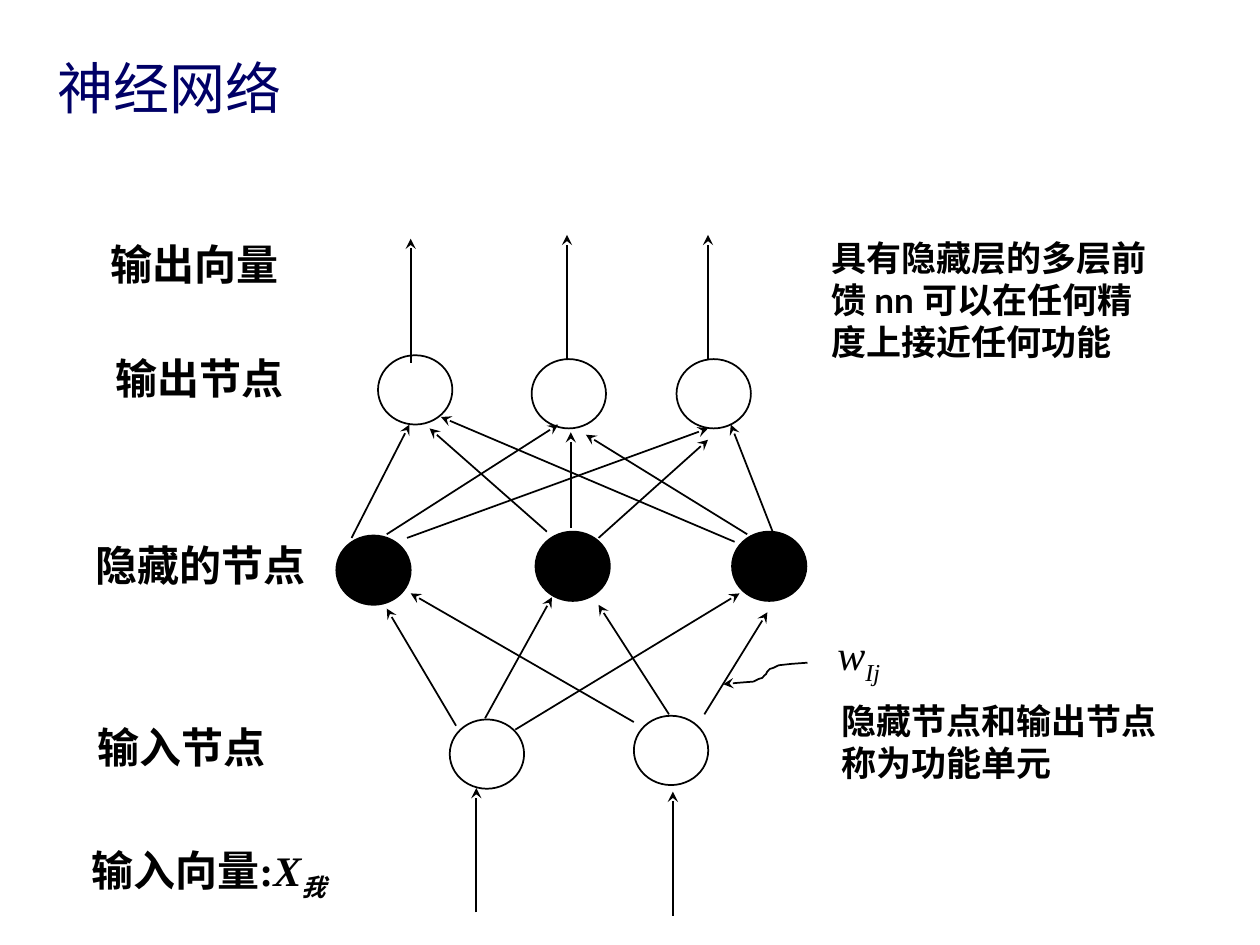
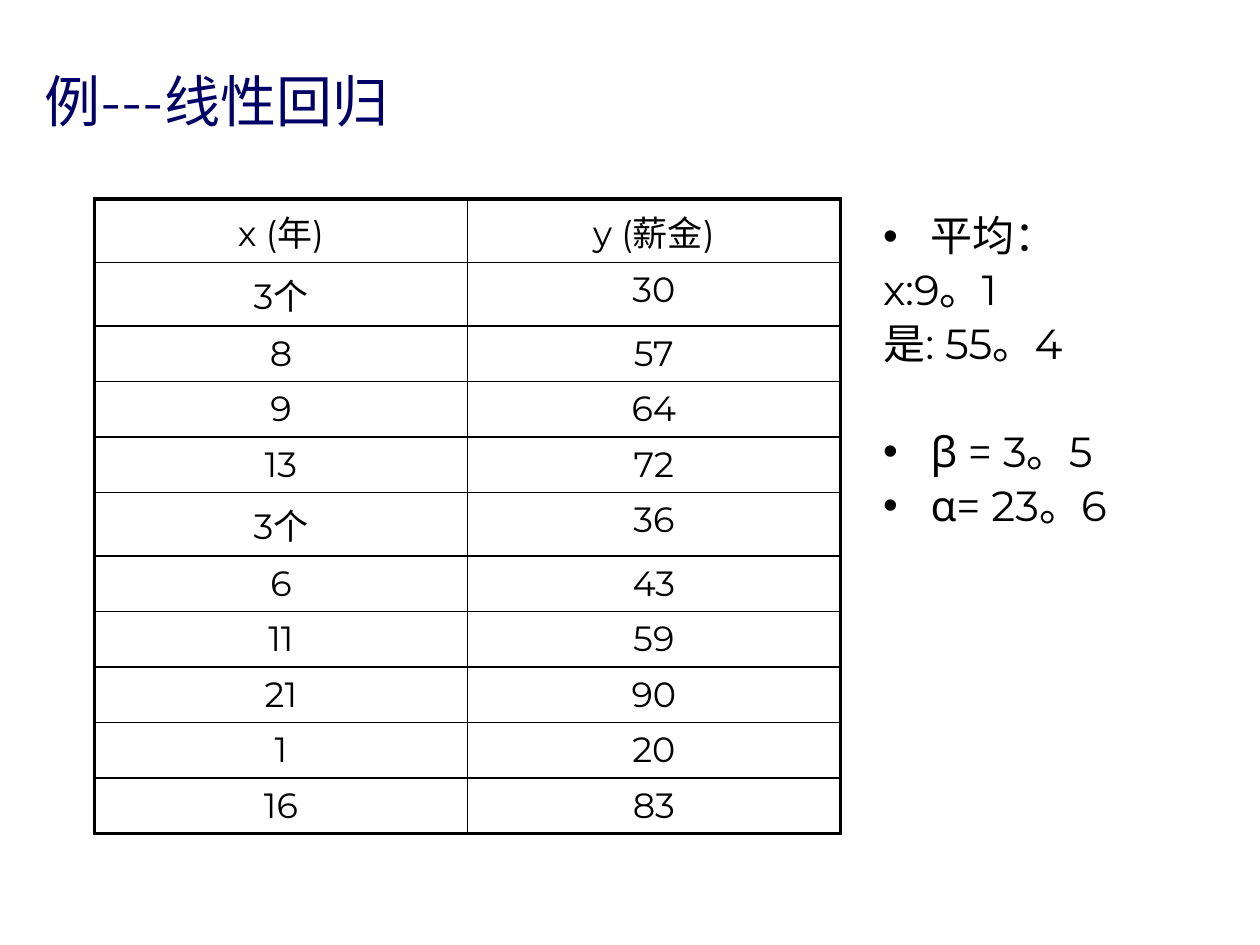
from lxml.etree import SubElement
from pptx import Presentation
from pptx.dml.color import RGBColor
from pptx.enum.shapes import MSO_CONNECTOR, MSO_SHAPE
from pptx.enum.text import MSO_ANCHOR, PP_ALIGN
from pptx.oxml import parse_xml
from pptx.oxml.ns import nsdecls, qn
from pptx.util import Pt

NAVY = RGBColor(0x00, 0x00, 0x66)
BLACK = RGBColor(0x00, 0x00, 0x00)
SERIF, SANS, CALLOUT = "Times New Roman", "Montserrat", "Lato"
TITLE_HEIGHT = 41.8


def write(paragraph, text, size=24, font=SERIF, color=BLACK, bold=False,
          italic=False, subscript=False, align=PP_ALIGN.LEFT):
    paragraph.alignment = align
    run = paragraph.add_run()
    run.text = text
    run.font.size, run.font.name = Pt(size), font
    run.font.bold, run.font.italic = bold, italic
    run.font.color.rgb = color
    if subscript:
        run.font.element.set("baseline", "-25000") if hasattr(run.font, "element") \
            else run._r.get_or_add_rPr().set("baseline", "-25000")


def outline(shape, arrow=False):
    shape.line.color.rgb = BLACK
    shape.line.width = Pt(1)
    properties = shape.element.spPr
    if arrow:
        SubElement(properties.find(qn("a:ln")), qn("a:tailEnd"), type="stealth")
    SubElement(properties, qn("a:effectLst"))


presentation = Presentation()
presentation.slide_width, presentation.slide_height = Pt(720), Pt(540)
network_slide = presentation.slides.add_slide(presentation.slide_layouts[5])
regression_slide = presentation.slides.add_slide(presentation.slide_layouts[1])

# Titles
for slide, text, left, top, width in [
    (network_slide, "神经网络", 25.9, 31, 455.8),
    (regression_slide, "例---线性回归", 18, 38.2, 678.2),
]:
    title = slide.shapes.title
    title.left, title.top = Pt(left), Pt(top)
    title.width, title.height = Pt(width), Pt(TITLE_HEIGHT)
    title.text_frame.vertical_anchor = MSO_ANCHOR.BOTTOM
    write(title.text_frame.paragraphs[0], text, size=32, font=SANS, color=NAVY)

# Network nodes, layer by layer
output_nodes = [(216, 203), (303.8, 205.2), (386.6, 205.2)]
hidden_nodes = [(192.2, 306), (306, 303.8), (418.3, 303.8)]
input_nodes = [(257, 411.1), (362.2, 409)]
for layer, filled in [(output_nodes, False), (hidden_nodes, True), (input_nodes, False)]:
    for left, top in layer:
        node = network_slide.shapes.add_shape(
            MSO_SHAPE.OVAL, Pt(left), Pt(top), Pt(42.5), Pt(39.6))
        if filled:
            node.fill.solid()
            node.fill.fore_color.rgb = BLACK
        else:
            node.fill.background()
        outline(node)

# Weighted edges between the layers, then vertical signals in and out
input_to_hidden = [
    (260.6, 414.7, 221, 347.8), (277.2, 410.4, 315.4, 341.3),
    (294.5, 416.9, 422.6, 339.1), (362.2, 412.6, 234.7, 339.1),
    (382.3, 408.2, 342, 345.6), (402.5, 408.2, 438.5, 349.9),
]
hidden_to_output = [
    (200.9, 307.4, 234, 242.6), (221, 305.3, 319, 242.6),
    (232.6, 307.4, 404.6, 244.8), (419.8, 309.6, 252, 238.3),
    (442.1, 305.3, 417.6, 242.6), (427, 305.3, 334.8, 248.4),
    (312.5, 303.8, 245.5, 244.8), (326.2, 301.7, 326.2, 247),
    (342, 307.4, 404.6, 251.3),
]
signal_starts = [(272.2, 521.3), (384.5, 523.4),
                 (234.7, 207.4), (324, 205.2), (404.6, 205.2)]
signals = [(x, y, x, y - 71) for x, y in signal_starts]
for edge in input_to_hidden + hidden_to_output + signals:
    connector = network_slide.shapes.add_connector(
        MSO_CONNECTOR.STRAIGHT, *[Pt(value) for value in edge])
    outline(connector, arrow=True)

# Layer labels
plain = {"bold": True}
for left, top, width, runs in [
    (36.7, 198, 154.1, [("输出节点", plain)]),
    (35.3, 409, 136.8, [("输入节点", plain)]),
    (36.7, 304.6, 155.5, [("隐藏的节点", plain)]),
    (31.7, 132.5, 159.1, [("输出向量", plain)]),
    (33.1, 478.8, 172.1, [
        ("输入向量:", plain),
        ("X", {"bold": True, "italic": True}),
        ("我", {"bold": True, "italic": True, "subscript": True})]),
    (470.9, 355.7, 39.6, [
        ("w", {"italic": True}), ("Ij", {"italic": True, "subscript": True})]),
]:
    label = network_slide.shapes.add_textbox(Pt(left), Pt(top), Pt(width), Pt(36))
    label.text_frame.word_wrap = False
    for text, style in runs:
        write(label.text_frame.paragraphs[0], text, align=PP_ALIGN.CENTER, **style)

# Curved pointer from the weight to its edge
pointer_points = [
    (461.5, 378.7), (452.2, 379.4), (445, 380.2), (442.1, 381.6), (439.9, 382.3),
    (438.5, 383.8), (437.8, 385.2), (437, 385.9), (435.6, 387.4), (433.4, 388.1),
    (430.6, 389.5), (421.9, 390.2), (413.3, 391),
]
start, *bends = [(Pt(x), Pt(y)) for x, y in pointer_points]
builder = network_slide.shapes.build_freeform(*start)
builder.add_line_segments(bends, close=False)
pointer = builder.convert_to_shape()
pointer.fill.background()
outline(pointer, arrow=True)

# Explanations on the right
for text, left, top, height in [
    ("具有隐藏层的多层前馈 nn 可以在任何精度上接近任何功能", 468, 131.8, 151.2),
    ("隐藏节点和输出节点称为功能单元", 473.8, 396, 103),
]:
    explanation = network_slide.shapes.add_textbox(
        Pt(left), Pt(top), Pt(199.4), Pt(height))
    explanation.text_frame.word_wrap = True
    write(explanation.text_frame.paragraphs[0], text, size=20, font=CALLOUT, bold=True)

# Regression results
results = regression_slide.placeholders[1]
results.left, results.top, results.width, results.height = (
    Pt(497.5), Pt(119.5), Pt(185.8), Pt(372.2))
frame = results.text_frame
for index, (text, bulleted, space_before) in enumerate([
    ("平均：", True, 4.8), ("x:9。1", False, 4.8), ("是: 55。4", False, 4.8),
    ("β = 3。5", True, 36), ("α= 23。6", True, 4.8),
]):
    paragraph = frame.add_paragraph() if index else frame.paragraphs[0]
    write(paragraph, text, font=SANS)
    paragraph.line_spacing = 0.9
    paragraph.space_before = Pt(space_before)
    properties = paragraph._p.get_or_add_pPr()
    indent = Pt(27) if bulleted else 0
    properties.set("marL", str(indent))
    properties.set("indent", str(-indent))
    if bulleted:
        SubElement(properties, qn("a:buChar"), char="•")
    else:
        SubElement(properties, qn("a:buNone"))

# Years and salary table
rows = [("x (年)", "y (薪金)"), ("3个", "30"), ("8", "57"), ("9", "64"),
        ("13", "72"), ("3个", "36"), ("6", "43"), ("11", "59"),
        ("21", "90"), ("1", "20"), ("16", "83")]
table = regression_slide.shapes.add_table(
    len(rows), 2, Pt(54), Pt(113.8), Pt(426.2), Pt(31 * len(rows))).table
table.first_row = table.horz_banding = False
for row_index, row in enumerate(rows):
    table.rows[row_index].height = Pt(31)
    for column_index, text in enumerate(row):
        cell = table.cell(row_index, column_index)
        cell.fill.background()
        write(cell.text_frame.paragraphs[0], text, size=20, font=SANS,
              align=PP_ALIGN.CENTER)
        outer_sides = {"L": column_index == 0, "R": column_index == 1,
                       "T": row_index == 0, "B": row_index == len(rows) - 1}
        for position, (side, outer) in enumerate(outer_sides.items()):
            border = parse_xml(
                f'<a:ln{side} {nsdecls("a")} w="{Pt(2.25 if outer else 1)}">'
                f'<a:solidFill><a:srgbClr val="{BLACK}"/></a:solidFill></a:ln{side}>')
            cell._tc.get_or_add_tcPr().insert(position, border)

presentation.save("out.pptx")
